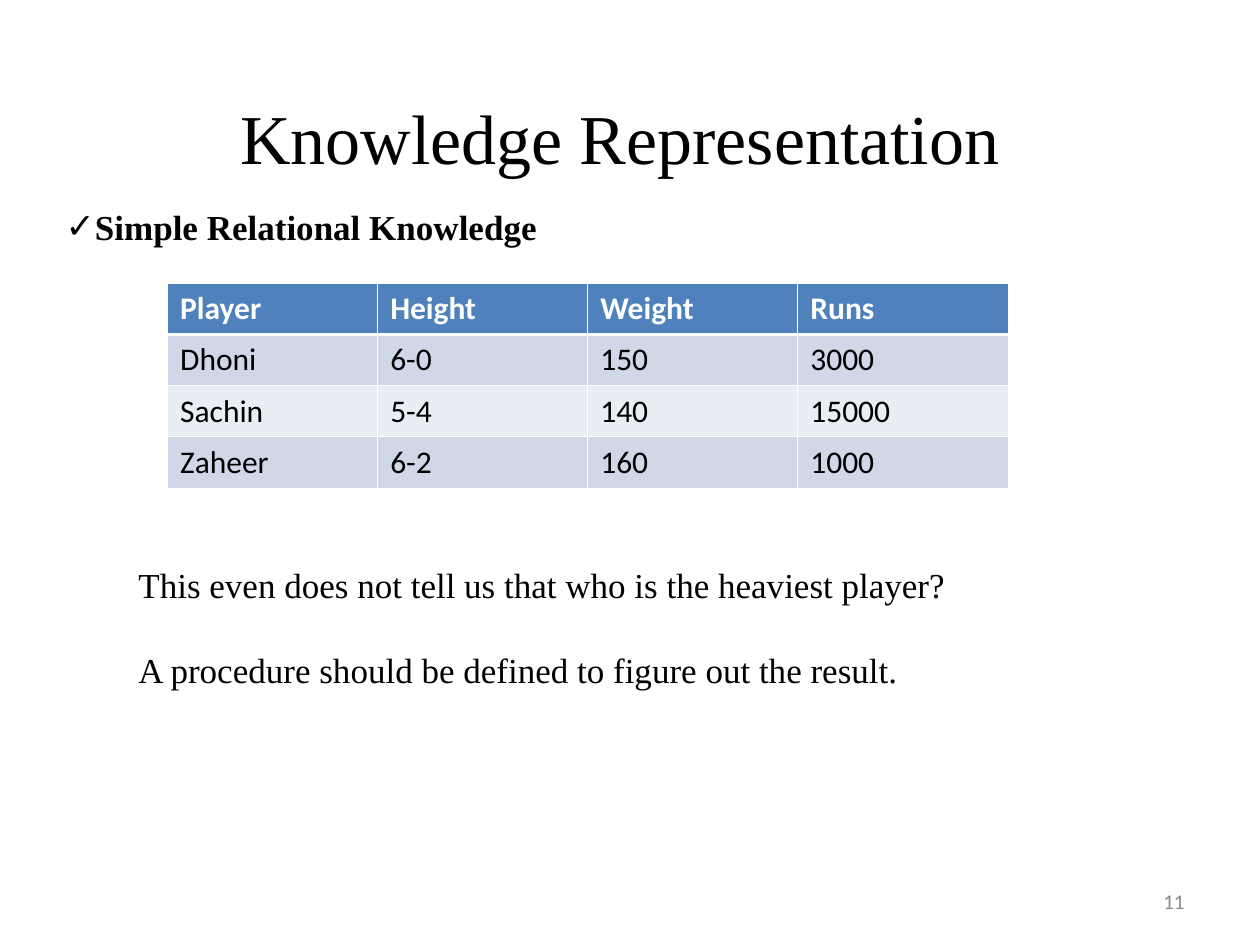
from pptx import Presentation
from pptx.dml.color import RGBColor
from pptx.enum.text import MSO_ANCHOR, MSO_AUTO_SIZE, PP_ALIGN
from pptx.oxml import parse_xml
from pptx.oxml.ns import nsdecls
from pptx.util import Inches, Pt

SERIF, SANS = "Times New Roman", "Calibri"
BLACK, WHITE, GREY = "000000", "FFFFFF", "898989"
HEADER_FILL, BAND_FILLS = "4F81BD", ("D0D8E8", "E9EDF4")
THIN, THICK = 0.45, 1.47

PLAYERS = [
    ("Player", "Height", "Weight", "Runs"),
    ("Dhoni", "6-0", "150", "3000"),
    ("Sachin", "5-4", "140", "15000"),
    ("Zaheer", "6-2", "160", "1000"),
]
REMARKS = [
    "This even does not tell us that who is the heaviest player?",
    "A procedure should be defined to figure out the result.",
]


def color(hex_string):
    return RGBColor.from_string(hex_string)


def style(para, font_name, size, hex_color, bold=False, align=PP_ALIGN.LEFT):
    font = para.font
    font.name, font.size, font.bold = font_name, Pt(size), bold
    font.color.rgb = color(hex_color)
    para.alignment = align


def place(shape, left, top, width, height):
    """Move and size a shape, in inches."""
    shape.left, shape.top = Inches(left), Inches(top)
    shape.width, shape.height = Inches(width), Inches(height)


def fill_text(shape, lines, anchor=MSO_ANCHOR.TOP):
    """Write one paragraph per line and return the paragraphs."""
    frame = shape.text_frame
    frame.text = "\n".join(lines)
    frame.word_wrap = True
    frame.auto_size = MSO_AUTO_SIZE.NONE
    frame.vertical_anchor = anchor
    return frame.paragraphs


def add_text_box(page, lines, *bounds, anchor=MSO_ANCHOR.TOP):
    box = page.shapes.add_textbox(*map(Inches, bounds))
    return fill_text(box, lines, anchor)


def add_check_bullet(para):
    properties = para._p.get_or_add_pPr()
    properties.set("marL", "0")
    properties.set("indent", "0")
    properties.append(parse_xml(f'<a:buChar {nsdecls("a")} char="✓"/>'))


def set_borders(cell, **widths):
    """Draw white borders; widths are in points, keyed by side L, R, T, B."""
    properties = cell._tc.get_or_add_tcPr()
    for side, width in widths.items():
        properties.append(parse_xml(
            f'<a:ln{side} {nsdecls("a")} w="{int(Pt(width))}"><a:solidFill>'
            f'<a:srgbClr val="{WHITE}"/></a:solidFill></a:ln{side}>'))


def add_player_table(page, left, top, width, height):
    rows, columns = len(PLAYERS), len(PLAYERS[0])
    table = page.shapes.add_table(
        rows, columns, *map(Inches, (left, top, width, height))).table
    for row, values in enumerate(PLAYERS):
        is_header = row == 0
        for column, value in enumerate(values):
            cell = table.cell(row, column)
            cell.text = value
            style(cell.text_frame.paragraphs[0], SANS, 18,
                  WHITE if is_header else BLACK, bold=is_header)
            set_borders(cell, L=THIN, R=THIN,
                        T=THICK if row == 1 else THIN,
                        B=THICK if is_header else THIN)
            cell.fill.solid()
            cell.fill.fore_color.rgb = color(
                HEADER_FILL if is_header else BAND_FILLS[(row - 1) % 2])


def main():
    deck = Presentation()
    deck.slide_width, deck.slide_height = Inches(10), Inches(7.5)
    page = deck.slides.add_slide(deck.slide_layouts[1])
    title, topic = page.placeholders

    place(title, 0.67, 0.58, 8.5, 1)
    heading, = fill_text(title, ["Knowledge Representation"], MSO_ANCHOR.MIDDLE)
    style(heading, SERIF, 40, BLACK, align=PP_ALIGN.CENTER)

    place(topic, 0.42, 1.58, 9, 0.94)
    point, = fill_text(topic, ["Simple Relational Knowledge"])
    style(point, SERIF, 20, BLACK, bold=True, align=PP_ALIGN.JUSTIFY)
    point.space_before = Pt(12.5)
    add_check_bullet(point)

    add_player_table(page, 1.33, 2.25, 6.67, 1.62)

    remarks = add_text_box(page, REMARKS, 1, 4.42, 7.58, 1.1)
    for remark in remarks:
        style(remark, SERIF, 20, BLACK)
    remarks[-1].space_before = Pt(25)

    number, = add_text_box(page, ["11"], 7.17, 6.95, 2.33, 0.4,
                           anchor=MSO_ANCHOR.MIDDLE)
    style(number, SANS, 12, GREY, align=PP_ALIGN.RIGHT)

    deck.save("out.pptx")


if __name__ == "__main__":
    main()
